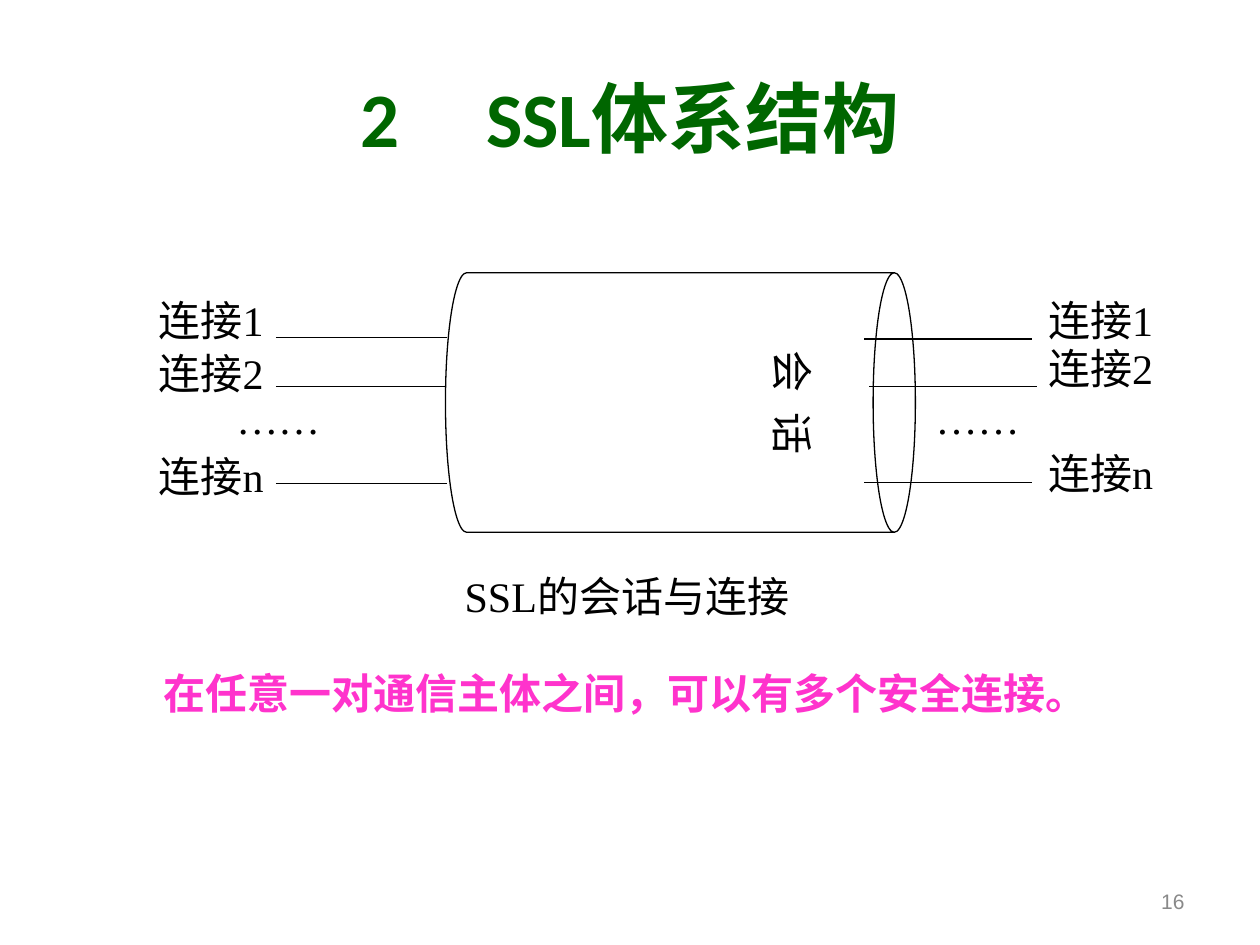
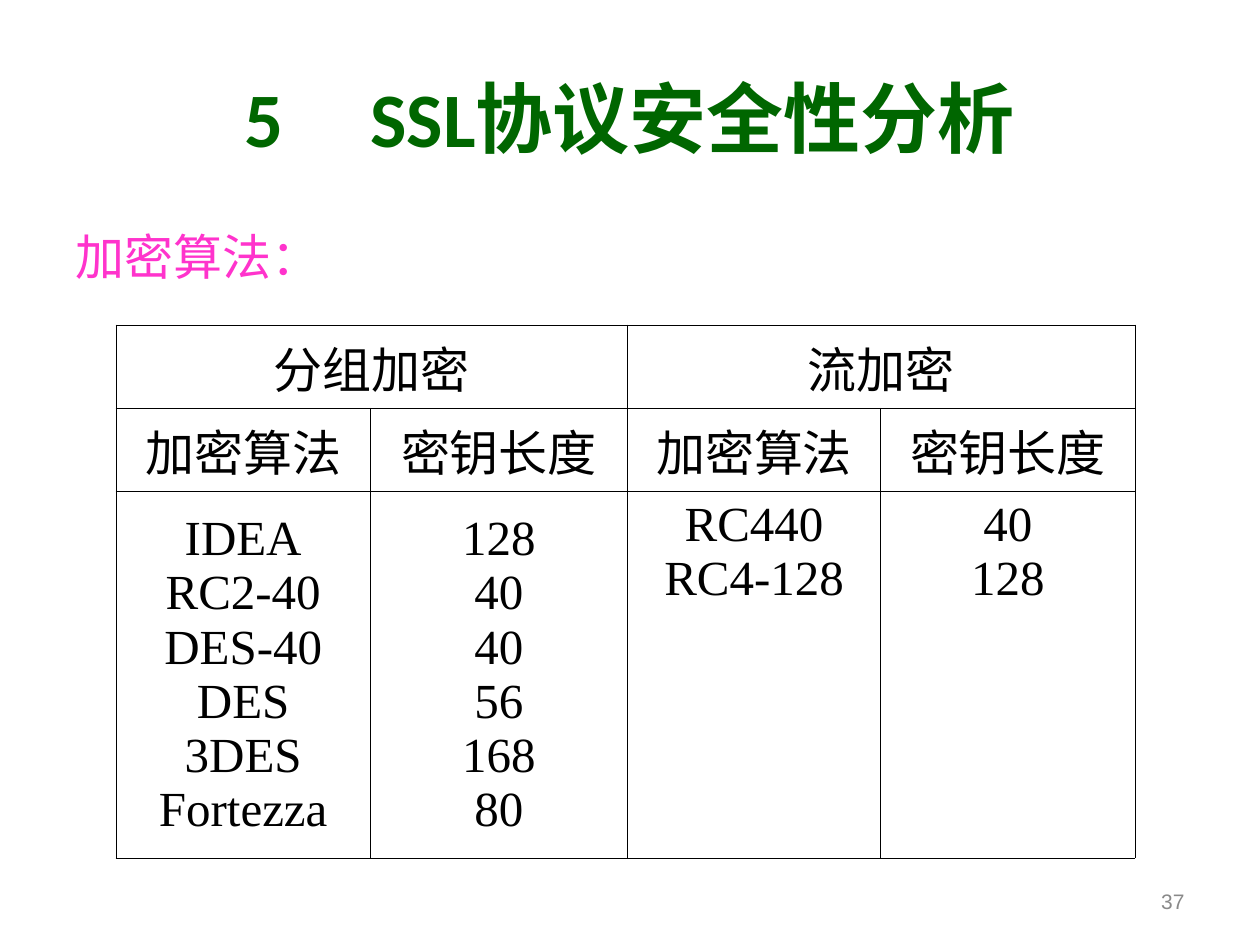
from lxml.etree import SubElement
from pptx import Presentation
from pptx.dml.color import RGBColor
from pptx.enum.shapes import MSO_CONNECTOR as Link, MSO_SHAPE as Kind
from pptx.enum.text import MSO_ANCHOR as Anchor, PP_ALIGN as Align
from pptx.oxml.ns import qn
from pptx.util import Pt

PX = 9144
BLACK = RGBColor(0, 0, 0)
WHITE = RGBColor(255, 255, 255)
GREEN = RGBColor(0, 102, 0)
PINK = RGBColor(255, 51, 204)
GRAY = RGBColor(137, 137, 137)
SERIF, SANS, HEAD = "Times New Roman", "Arial", "Calibri"


def px(*nums):
    return [n * PX for n in nums]


class Deck:
    def __init__(self):
        self.prs = Presentation()
        self.prs.slide_width, self.prs.slide_height = px(1000, 750)

    def page(self, title, num):
        slide = self.prs.slides.add_slide(self.prs.slide_layouts[6])
        self.shapes = slide.shapes
        box = self.text(title, 50, 30, 900, 125, 44, HEAD, GREEN,
                        Align.CENTER, Anchor.MIDDLE, True)
        self.tabs(box.text_frame.paragraphs[0])
        self.text(num, 717, 695, 233, 40, 12, SANS, GRAY,
                  Align.RIGHT, Anchor.MIDDLE)

    def tabs(self, para):
        stops = SubElement(para._p.get_or_add_pPr(), qn("a:tabLst"))
        for inch in range(8):
            SubElement(stops, qn("a:tab"), pos=str(inch * 100 * PX), algn="l")

    def style(self, frame, size, font, color, align, bold=False):
        for para in frame.paragraphs:
            para.alignment = align
            for run in para.runs:
                run.font.size = Pt(size)
                run.font.name = font
                run.font.bold = bold
                run.font.color.rgb = color

    def text(self, words, x, y, w, h, size=24, font=SERIF, color=BLACK,
             align=Align.LEFT, anchor=Anchor.TOP, bold=False):
        box = self.shapes.add_textbox(*px(x, y, w, h))
        frame = box.text_frame
        frame.word_wrap = True
        frame.vertical_anchor = anchor
        frame.text = words
        self.style(frame, size, font, color, align, bold)
        return box

    def label(self, words, x, y):
        self.text(words, x, y, 111, 50, align=Align.RIGHT)

    def line(self, x1, x2, y):
        line = self.shapes.add_connector(Link.STRAIGHT, *px(x1, y, x2, y))
        line.line.color.rgb = BLACK
        line.line.width = Pt(0.75)
        SubElement(line._element.spPr, qn("a:effectLst"))

    def can(self, words, x, y, w, h):
        can = self.shapes.add_shape(Kind.CAN, *px(x, y, w, h))
        can.rotation = 90
        can.adjustments[0] = 0.163
        can.shadow.inherit = False
        can.fill.solid()
        can.fill.fore_color.rgb = WHITE
        can.line.color.rgb = BLACK
        can.line.width = Pt(0.75)
        frame = can.text_frame
        frame.vertical_anchor = Anchor.TOP
        frame.margin_top = 43 * PX
        frame.text = words
        self.style(frame, 24, SERIF, BLACK, Align.CENTER)
        frame.paragraphs[0].runs[0].font._element.set("spc", "300")

    def edge(self, cell):
        props = cell._tc.get_or_add_tcPr()
        for side in ("lnL", "lnR", "lnT", "lnB"):
            line = SubElement(props, qn(f"a:{side}"), w=str(Pt(0.45)))
            fill = SubElement(line, qn("a:solidFill"))
            SubElement(fill, qn("a:srgbClr"), val=str(BLACK))

    def table(self, rows, x, y, cols, highs):
        grid = self.shapes.add_table(
            len(rows), len(cols), *px(x, y, sum(cols), sum(highs))).table
        grid.first_row = grid.horz_banding = False
        for col, wide in zip(grid.columns, cols):
            col.width = wide * PX
        for row, high in zip(grid.rows, highs):
            row.height = high * PX
        for r, row in enumerate(rows):
            for c, words in enumerate(row):
                cell = grid.cell(r, c)
                self.edge(cell)
                cell.fill.solid()
                cell.fill.fore_color.rgb = WHITE
                cell.vertical_anchor = Anchor.MIDDLE
                if words:
                    cell.text_frame.text = words
                    self.style(cell.text_frame, 28, SERIF, BLACK, Align.CENTER)
        return grid


def links(deck):
    deck.page("2\tSSL体系结构", "16")
    deck.can("会 话", 437, 133, 206, 373)
    for x1, x2, y in ((219, 355, 268), (219, 353, 307), (219, 355, 384),
                      (686, 819, 269), (690, 823, 307), (686, 819, 383)):
        deck.line(x1, x2, y)
    for words, left, right in (("连接1", 229, 229), ("连接2", 271, 267),
                               ("连接n", 353, 350)):
        deck.label(words, 108, left)
        deck.label(words, 814, right)
    for x in (153, 708):
        deck.label("……", x, 307)
    deck.text("SSL的会话与连接", 242, 448, 511, 52, align=Align.CENTER)
    deck.text("在任意一对通信主体之间，可以有多个安全连接。", 120, 525, 761, 50,
              24, SANS, PINK, anchor=Anchor.MIDDLE, bold=True)


def ciphers(deck):
    deck.page("5\tSSL协议安全性分析", "37")
    deck.text("加密算法：", 50, 175, 900, 83, 28, HEAD, PINK)
    heads = ["加密算法", "密钥长度"]
    rows = [
        ["分组加密", "", "流加密", ""],
        heads * 2,
        ["IDEA\nRC2-40\nDES-40\nDES\n3DES\nFortezza",
         "128\n40\n40\n56\n168\n80", "RC440\nRC4-128", "40\n128"],
    ]
    grid = deck.table(rows, 92, 258, (202, 204, 201, 202), (66, 66, 291))
    for c in (0, 2):
        grid.cell(0, c).merge(grid.cell(0, c + 1))
    for c in (2, 3):
        grid.cell(2, c).vertical_anchor = Anchor.TOP


def main():
    deck = Deck()
    links(deck)
    ciphers(deck)
    deck.prs.save("out.pptx")


if __name__ == "__main__":
    main()
